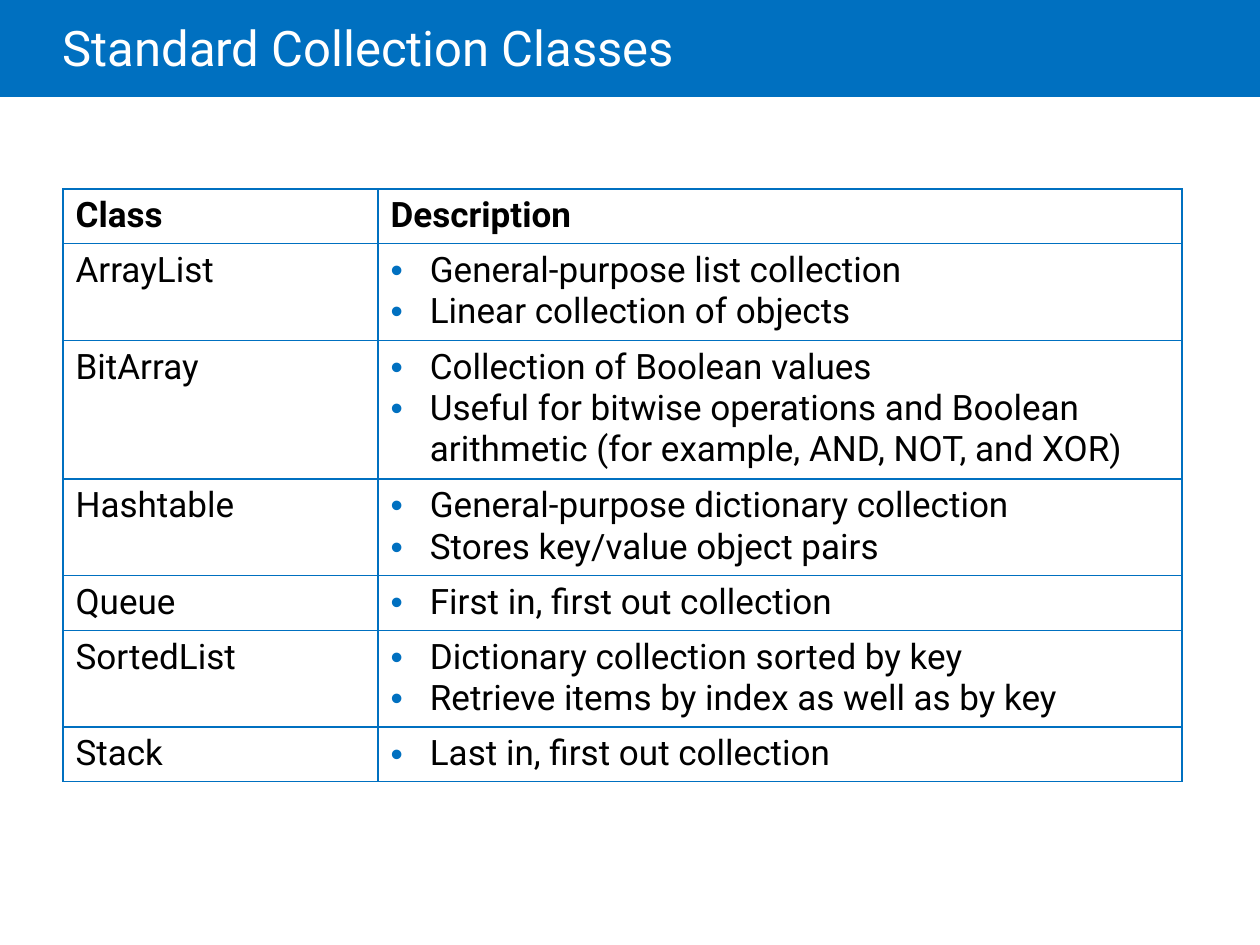
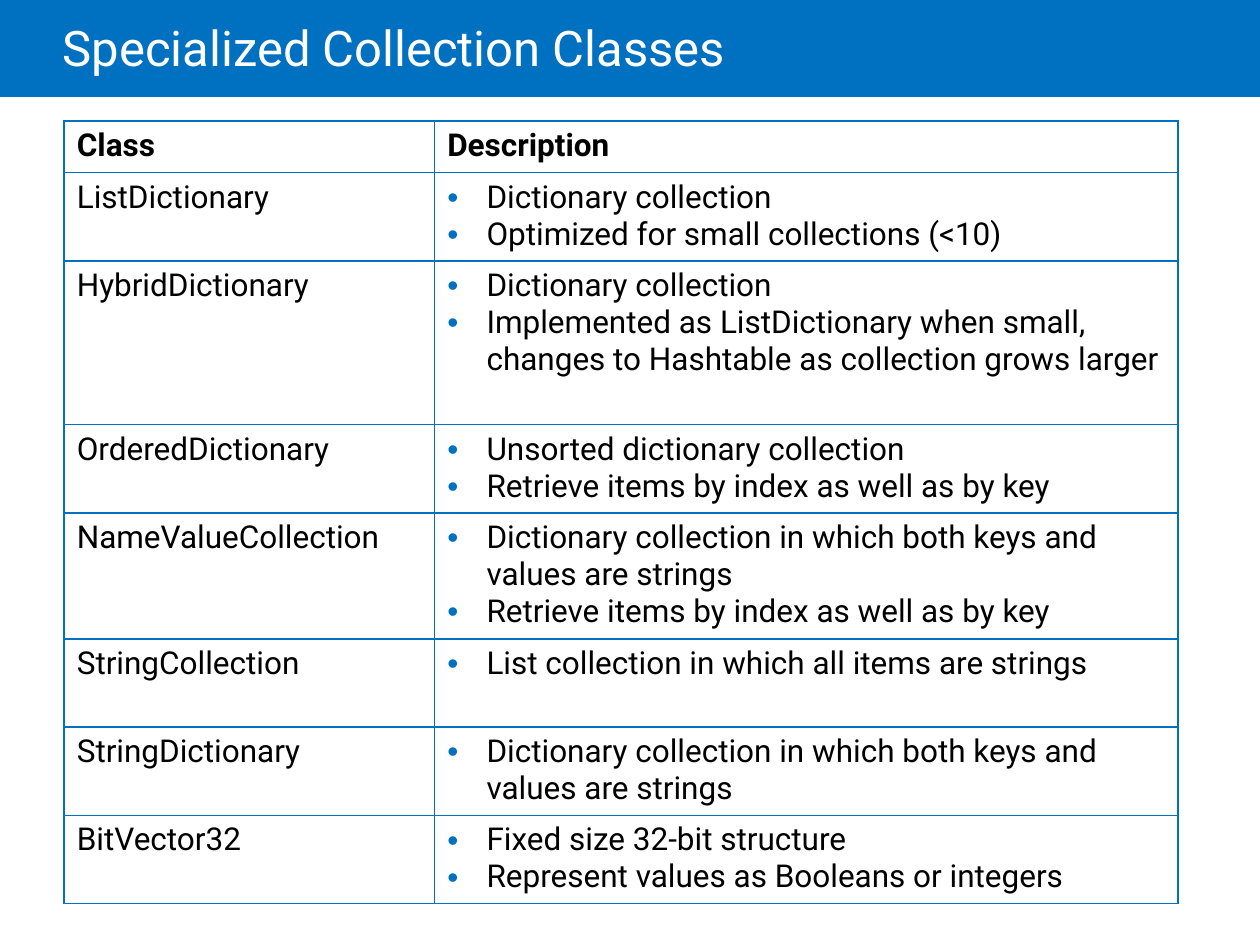
from lxml import etree
from pptx import Presentation
from pptx.dml.color import RGBColor
from pptx.enum.shapes import MSO_SHAPE
from pptx.enum.text import MSO_ANCHOR
from pptx.oxml.ns import qn
from pptx.util import Inches, Pt

BLUE = RGBColor(0x00, 0x70, 0xC0)
WHITE = RGBColor(0xFF, 0xFF, 0xFF)
BLACK = RGBColor(0x00, 0x00, 0x00)
RECTANGLE = MSO_SHAPE.RECTANGLE
MIDDLE = MSO_ANCHOR.MIDDLE
FONT = "Roboto"
GRID_COLUMNS, GRID_ROWS = 100, 75
HEADER = ("Class", ["Description"])

STANDARD = [
    ("ArrayList", ["General-purpose list collection",
                   "Linear collection of objects"]),
    ("BitArray", ["Collection of Boolean values",
                  "Useful for bitwise operations and Boolean arithmetic "
                  "(for example, AND, NOT, and XOR)"]),
    ("Hashtable", ["General-purpose dictionary collection",
                   "Stores key/value object pairs"]),
    ("Queue", ["First in, first out collection"]),
    ("SortedList", ["Dictionary collection sorted by key",
                    "Retrieve items by index as well as by key"]),
    ("Stack", ["Last in, first out collection"]),
]

SPECIALIZED = [
    ("ListDictionary", ["Dictionary collection",
                        "Optimized for small collections (<10)"]),
    ("HybridDictionary", ["Dictionary collection",
                          "Implemented as ListDictionary when small, "
                          "changes to Hashtable as collection grows larger"]),
    ("OrderedDictionary", ["Unsorted dictionary collection",
                           "Retrieve items by index as well as by key"]),
    ("NameValueCollection", ["Dictionary collection in which both keys and "
                             "values are strings",
                             "Retrieve items by index as well as by key"]),
    ("StringCollection", ["List collection in which all items are strings"]),
    ("StringDictionary", ["Dictionary collection in which both keys and "
                          "values are strings"]),
    ("BitVector32", ["Fixed size 32-bit structure",
                     "Represent values as Booleans or integers"]),
]


class Deck:
    def __init__(self):
        self.prs = Presentation()
        self.prs.slide_width = Inches(10)
        self.prs.slide_height = Inches(7.5)
        self.s = None

    def x(self, columns):
        return round(self.prs.slide_width * columns / GRID_COLUMNS)

    def y(self, rows):
        return round(self.prs.slide_height * rows / GRID_ROWS)

    def box(self, left, top, width, height):
        return self.x(left), self.y(top), self.x(width), self.y(height)

    def slide(self, title):
        self.s = self.prs.slides.add_slide(self.prs.slide_layouts[6])
        self.band()
        self.title(title)

    def band(self):
        sp = self.s.shapes.add_shape(RECTANGLE, *self.box(0, 0, GRID_COLUMNS, 7.7))
        sp.shadow.inherit = False
        sp.fill.solid()
        sp.fill.fore_color.rgb = BLUE
        sp.line.fill.background()

    def title(self, text):
        sp = self.s.shapes.add_textbox(*self.box(5, 0, 85, 8.1))
        tf = sp.text_frame
        tf.word_wrap = True
        tf.vertical_anchor = MIDDLE
        tf.margin_left = 0
        tf.text = text
        p = tf.paragraphs[0]
        p.line_spacing = 0.85
        self.font(p, 28, WHITE)

    def font(self, p, size, color, bold=False):
        for r in p.runs:
            r.font.name = FONT
            r.font.size = Pt(size)
            r.font.bold = bold
            r.font.color.rgb = color

    def bullet(self, p):
        pPr = p._p.get_or_add_pPr()
        indent = self.x(3.12)
        pPr.set("marL", str(indent))
        pPr.set("indent", str(-indent))
        color = etree.SubElement(pPr, qn("a:buClr"))
        etree.SubElement(color, qn("a:srgbClr"), val=str(BLUE))
        etree.SubElement(pPr, qn("a:buFont"), typeface="Arial")
        etree.SubElement(pPr, qn("a:buChar"), char="•")

    def borders(self, cell):
        tcPr = cell._tc.get_or_add_tcPr()
        for i, side in enumerate(("lnL", "lnR", "lnT", "lnB")):
            ln = etree.Element(qn("a:" + side), w=str(Pt(1)))
            fill = etree.SubElement(ln, qn("a:solidFill"))
            etree.SubElement(fill, qn("a:srgbClr"), val=str(BLUE))
            tcPr.insert(i, ln)

    def cell(self, cell, lines, size, bold=False, bullets=False):
        cell.fill.background()
        self.borders(cell)
        cell.text_frame.text = "\n".join(lines)
        for p in cell.text_frame.paragraphs:
            self.font(p, size, BLACK, bold)
            if bullets:
                self.bullet(p)

    def table(self, classes, left, top, widths, heights, size):
        area = self.box(left, top, sum(widths), sum(heights))
        rows = [HEADER] + classes
        table = self.s.shapes.add_table(len(rows), len(widths), *area).table
        table.first_row = False
        table.horz_banding = False
        for column, width in zip(table.columns, widths):
            column.width = self.x(width)
        for i, (name, description) in enumerate(rows):
            table.rows[i].height = self.y(heights[i])
            header = i == 0
            self.cell(table.cell(i, 0), [name], size, header)
            self.cell(table.cell(i, 1), description, size, header, not header)


def main():
    deck = Deck()
    deck.slide("Standard Collection Classes")
    deck.table(STANDARD, 5, 15, (25, 63.8),
               (4.3, 7.5, 10.8, 7.5, 4.3, 7.5, 4.3), 20)
    deck.slide("Specialized Collection Classes")
    deck.table(SPECIALIZED, 5.1, 9.6, (29.4, 59),
               (4.1, 7, 13, 7, 10, 7, 7, 7), 18)
    deck.prs.save("out.pptx")


if __name__ == "__main__":
    main()
